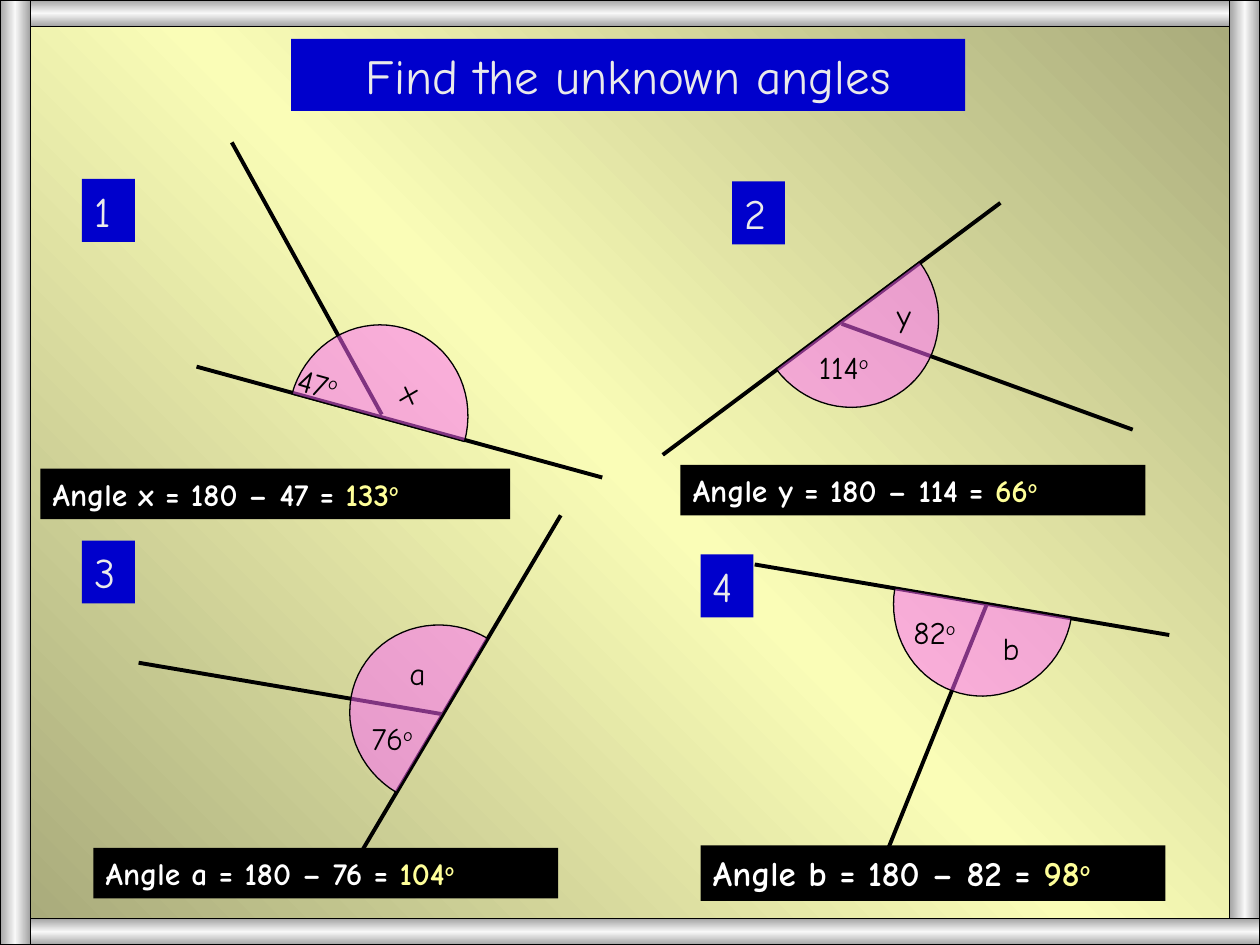
from copy import deepcopy
from math import cos, pi, sin

from pptx import Presentation
from pptx.dml.color import RGBColor
from pptx.enum.shapes import MSO_CONNECTOR, MSO_SHAPE
from pptx.enum.text import MSO_ANCHOR, PP_ALIGN
from pptx.oxml.ns import qn
from pptx.util import Inches, Pt

FONT = "Comic Neue"
BLACK = RGBColor(0x00, 0x00, 0x00)
WHITE = RGBColor(0xFF, 0xFF, 0xFF)
BLUE = RGBColor(0x00, 0x00, 0xCC)
PALE = RGBColor(0xEA, 0xEA, 0xEA)
PINK = RGBColor(0xFF, 0x66, 0xFF)
YELLOW = RGBColor(0xFF, 0xFF, 0x99)
OLIVE = RGBColor(0xA5, 0xA7, 0x78)
CREAM = RGBColor(0xFA, 0xFD, 0xB7)
STEEL = RGBColor(0xA3, 0xA3, 0xA3)
SHINE = RGBColor(0xF8, 0xF8, 0xF8)

# Each problem: offsets are in inches from the corner of its number box.
# Labels and answers: (left, top, width, ...)
PROBLEMS = [
    dict(number="1", at=(0.65, 1.42),
         base=(0.91, 1.49, 4.13, 2.37), ray=(2.38, 1.87, 1.19, -0.29),
         arc=(2.45, 1.54, 15.4), tilt=15.4, indent=0.14,
         labels=[(2.30, 1.52, 0.87, "x", ""), (1.47, 1.47, 1.16, "47", "o")],
         answer=(-0.33, 2.30, 3.73, 0.4, 18, "Angle x = 180 – 47 = ", "133")),
    dict(number="2", at=(5.81, 1.44),
         base=(2.13, 0.17, -0.55, 2.17), ray=(0.87, 1.13, 3.18, 1.97),
         arc=(1.14, 1.36, 143.2),
         labels=[(0.59, 1.27, 0.8, "114", "o"), (1.21, 0.86, 0.8, "y", "")],
         answer=(-0.41, 2.25, 3.69, 0.4, 18, "Angle y = 180 – 114 = ", "66")),
    dict(number="3", at=(0.65, 4.29),
         base=(2.10, 2.67, 3.80, -0.20), ray=(2.87, 1.38, 0.45, 0.97),
         arc=(2.54, 1.20, 300.6),
         labels=[(2.20, 1.37, 0.91, "76", "o"), (2.50, 0.85, 0.91, "a", "")],
         answer=(0.09, 2.44, 3.69, 0.4, 18, "Angle a = 180 – 76 = ", "104")),
    dict(number="4", at=(5.56, 4.40),
         base=(3.72, 0.64, 0.43, 0.08), ray=(2.27, 0.40, 1.35, 2.68),
         arc=(2.18, 0.75, 189.7),
         labels=[(1.59, 0.42, 0.61, "82", "o"), (2.30, 0.54, 0.61, "b", "")],
         answer=(0, 2.31, 3.69, 0.44, 20, "Angle b = 180 – 82 = ", "98")),
]


def shade(fill, owner, edge, middle, angle):
    """Three-stop gradient, the same colour at both ends."""
    fill.gradient()
    fill.gradient_angle = -angle % 360
    stops = owner.xpath(".//a:gsLst")[0]
    stops.append(deepcopy(stops[0]))
    for stop, place, color in zip(fill.gradient_stops, (0, 0.5, 1),
                                  (edge, middle, edge)):
        stop.position = place
        stop.color.rgb = color


def write(shape, size, color, runs, align=PP_ALIGN.LEFT, bold=False):
    """Fill a shape with one paragraph; return its runs."""
    frame = shape.text_frame
    frame.word_wrap = True
    frame.vertical_anchor = MSO_ANCHOR.TOP
    par = frame.paragraphs[0]
    par.alignment = align
    font = par.font
    font.name, font.size, font.bold = FONT, Pt(size), bold
    font.color.rgb = color
    for text in runs:
        par.add_run().text = text
    return par.runs


def lift(run):
    """Make a run superscript."""
    run.font._element.set("baseline", "30000")


def add_box(slide, left, top, width, height, color=None):
    box = slide.shapes.add_shape(MSO_SHAPE.RECTANGLE, Inches(left), Inches(top),
                                 Inches(width), Inches(height))
    box.shadow.inherit = False
    if color is not None:
        box.fill.solid()
        box.fill.fore_color.rgb = color
        box.line.fill.background()
    return box


def add_line(slide, left, top, ends):
    x1, y1, x2, y2 = ends
    line = slide.shapes.add_connector(
        MSO_CONNECTOR.STRAIGHT, Inches(left + x1), Inches(top + y1),
        Inches(left + x2), Inches(top + y2))
    line.line.color.rgb = BLACK
    line.line.width = Pt(2.25)
    props = line._element.spPr
    props.append(props.makeelement(qn("a:effectLst"), {}))


def add_arc(slide, x, y, turn, steps=36):
    """Half disc centred on x, y and turned clockwise."""
    wide, high = 0.71, 0.74
    points = [(Inches(x + wide * cos(pi * i / steps)),
               Inches(y + high / 2 - high * sin(pi * i / steps)))
              for i in range(steps + 1)]
    path = slide.shapes.build_freeform(*points[0])
    path.add_line_segments(points[1:], close=True)
    disc = path.convert_to_shape()
    disc.rotation = turn
    disc.shadow.inherit = False
    disc.fill.solid()
    disc.fill.fore_color.rgb = PINK
    tint = disc._element.spPr.xpath("./a:solidFill/a:srgbClr")[0]
    tint.append(tint.makeelement(qn("a:alpha"), {"val": "50000"}))
    disc.line.color.rgb = BLACK
    disc.line.width = Pt(0.75)


def add_problem(slide, left, top, item):
    # Lines and the marked angles
    add_line(slide, left, top, item["base"])
    add_line(slide, left, top, item["ray"])
    x, y, turn = item["arc"]
    add_arc(slide, left + x, top + y, turn)
    # Angle labels
    for x, y, width, text, degree in item["labels"]:
        label = slide.shapes.add_textbox(Inches(left + x), Inches(top + y),
                                         Inches(width), Inches(0.4))
        label.rotation = item.get("tilt", 0)
        label.text_frame.margin_left = Inches(0.1 + item.get("indent", 0))
        runs = write(label, 18, BLACK, [text, degree] if degree else [text])
        if degree:
            lift(runs[1])
    # Number box
    write(add_box(slide, left, top, 0.42, 0.5, BLUE), 24, PALE, [item["number"]])
    # Answer bar
    x, y, width, height, size, sum_text, result = item["answer"]
    bar = add_box(slide, left + x, top + y, width, height, BLACK)
    runs = write(bar, size, WHITE, [sum_text, result, "o"], bold=True)
    for run in runs[1:]:
        run.font.color.rgb = YELLOW
    lift(runs[2])


def add_frame(slide, width, height):
    flat, side = 0.21, 0.24
    bars = [(0, 0, width, flat, 90), (width - side, 0, side, height, 180),
            (0, height - flat, width, flat, 90), (0, 0, side, height, 180)]
    for *place, angle in bars:
        bar = add_box(slide, *place)
        shade(bar.fill, bar._element, STEEL, SHINE, angle)
        bar.line.color.rgb = BLACK
        bar.line.width = Pt(0.75)


def main():
    deck = Presentation()
    deck.slide_width, deck.slide_height = Inches(10), Inches(7.5)
    slide = deck.slides.add_slide(deck.slide_layouts[6])
    shade(slide.background.fill, slide._element, OLIVE, CREAM, 135)
    # Title
    write(add_box(slide, 2.31, 0.31, 5.35, 0.57, BLUE), 28, PALE,
          ["Find the unknown angles"], PP_ALIGN.CENTER)
    for item in PROBLEMS:
        add_problem(slide, *item["at"], item)
    add_frame(slide, 10, 7.5)
    deck.save("out.pptx")


if __name__ == "__main__":
    main()
